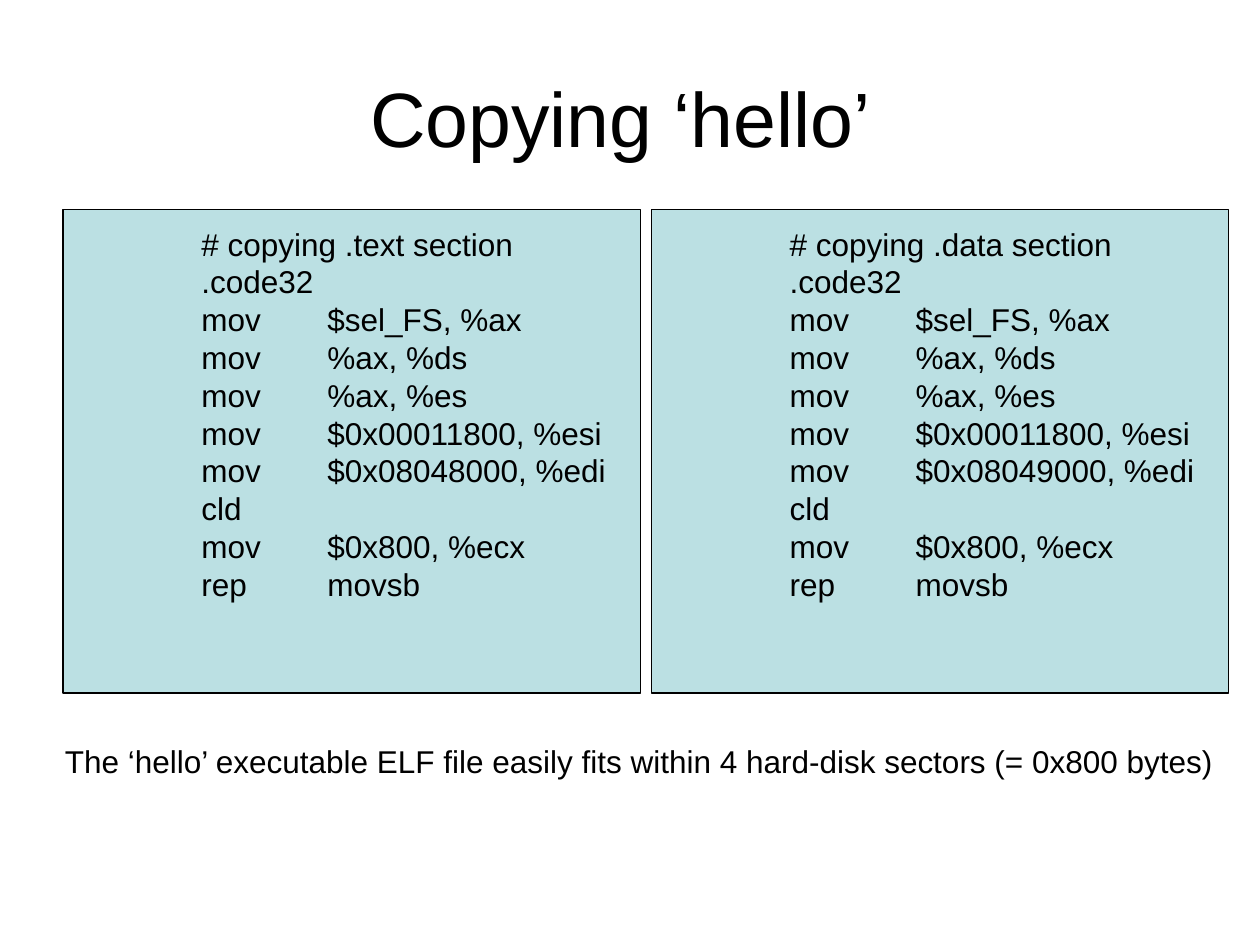
from lxml import etree
from pptx import Presentation
from pptx import util as u
from pptx.dml.color import RGBColor
from pptx.enum import shapes, text
from pptx.oxml.ns import qn

hues = {"ink": "000000", "box": "BBE0E3"}
inset = {"margin_left": u.Cm(0.25), "margin_right": u.Cm(0.25),
         "margin_top": u.Cm(0.13), "margin_bottom": u.Cm(0.13),
         "auto_size": text.MSO_AUTO_SIZE.NONE}


def apply(item, vals):
    for key, val in vals.items():
        setattr(item, key, val)


def write(frame, lines, size, align, vals):
    apply(frame, {**inset, **vals})
    for i, line in enumerate(lines):
        para = frame.add_paragraph() if i else frame.paragraphs[0]
        para.text = line
        if "\t" in line:
            tabs = etree.SubElement(para._p.get_or_add_pPr(), qn("a:tabLst"))
            for n in (1, 2):
                etree.SubElement(tabs, qn("a:tab"), pos=str(u.Cm(2.54 * n)), algn="l")
            para.line_spacing = u.Pt(21.6)
        para.alignment = align
        for run in para.runs:
            apply(run.font, {"name": "Arial", "size": u.Pt(size)})
            run.font.color.rgb = RGBColor.from_string(hues["ink"])


deck = Presentation()
apply(deck, {"slide_width": u.Cm(25.4), "slide_height": u.Cm(19.05)})
slide = deck.slides.add_slide(deck.slide_layouts[5])

title = slide.shapes.title
apply(title, {"left": u.Cm(1.27), "top": u.Cm(0.76),
              "width": u.Cm(22.86), "height": u.Cm(3.18)})
write(title.text_frame, ["Copying ‘hello’ "], 44, text.PP_ALIGN.CENTER,
      {"vertical_anchor": text.MSO_ANCHOR.MIDDLE, "word_wrap": True})

parts = [(".text", "$0x08048000"), (".data", "$0x08049000")]
for i, (name, dest) in enumerate(parts):
    box = slide.shapes.add_shape(
        shapes.MSO_SHAPE.RECTANGLE,
        u.Cm(1.27 + 11.86 * i), u.Cm(4.23), u.Cm(11.64), u.Cm(9.74))
    box.shadow.inherit = False
    box.fill.solid()
    box.fill.fore_color.rgb = RGBColor.from_string(hues["box"])
    box.line.color.rgb = RGBColor.from_string(hues["ink"])
    box.line.width = u.Pt(0.75)
    code = [
        f"\t# copying {name} section",
        "\t.code32",
        "\tmov\t$sel_FS, %ax",
        "\tmov\t%ax, %ds",
        "\tmov\t%ax, %es",
        "\tmov\t$0x00011800, %esi",
        f"\tmov\t{dest}, %edi",
        "\tcld",
        "\tmov\t$0x800, %ecx",
        "\trep\tmovsb",
    ]
    write(box.text_frame, code, 18, text.PP_ALIGN.LEFT,
          {"vertical_anchor": text.MSO_ANCHOR.TOP, "word_wrap": True,
           "margin_top": u.Cm(0.3)})

note = slide.shapes.add_textbox(u.Cm(1.06), u.Cm(14.82), u.Cm(23.67), u.Cm(1.02))
write(note.text_frame,
      ["The ‘hello’ executable ELF file easily fits within 4 hard-disk sectors (= 0x800 bytes)"],
      18, text.PP_ALIGN.LEFT, {"word_wrap": False})

deck.save("out.pptx")
